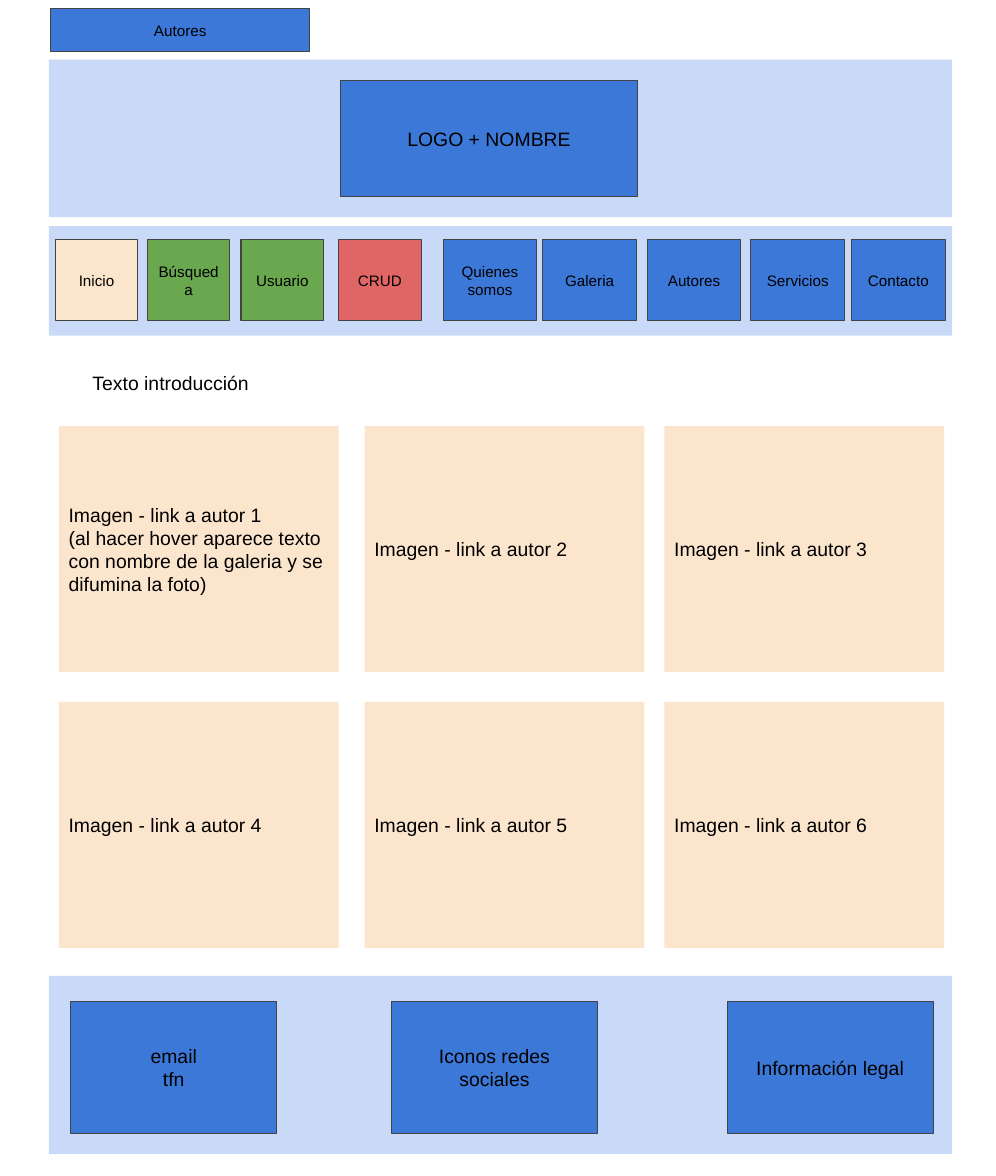
from dataclasses import dataclass

from pptx import Presentation
from pptx import util as u
from pptx.dml.color import RGBColor
from pptx.enum import shapes, text


@dataclass(frozen=True)
class Theme:
    font: str = "Arial"
    ink: str = "000000"
    outline: str = "434343"
    band: str = "C9DAF8"
    link: str = "3C78D8"
    cream: str = "FCE5CD"
    tool: str = "6AA84F"
    admin: str = "E06666"
    small: int = 11
    normal: int = 14
    border: float = 0.75


class Wireframe:
    """Places page elements on a grid of 100 columns by 118.1 rows."""

    COLUMNS, ROWS = 100, 118.1

    def __init__(self, deck, theme):
        self.theme = theme
        self.column = deck.slide_width / self.COLUMNS
        self.row = deck.slide_height / self.ROWS
        self.slide = deck.slides.add_slide(deck.slide_layouts[5])

    def area(self, left, top, width, height):
        return (round(left * self.column), round(top * self.row),
                round(width * self.column), round(height * self.row))

    def label(self, holder, words, size, align):
        frame = holder.text_frame
        frame.text = words
        frame.word_wrap = True
        frame.auto_size = text.MSO_AUTO_SIZE.NONE
        frame.vertical_anchor = text.MSO_ANCHOR.MIDDLE
        frame.margin_left = frame.margin_right = u.Inches(0.1)
        frame.margin_top = frame.margin_bottom = u.Inches(0.1)
        for paragraph in frame.paragraphs:
            paragraph.alignment = align
            paragraph.font.name = self.theme.font
            paragraph.font.size = u.Pt(size)
            paragraph.font.color.rgb = RGBColor.from_string(self.theme.ink)

    def paint(self, holder, fill, outlined):
        holder.fill.solid()
        holder.fill.fore_color.rgb = RGBColor.from_string(fill)
        if outlined:
            holder.line.color.rgb = RGBColor.from_string(self.theme.outline)
            holder.line.width = u.Pt(self.theme.border)
        else:
            holder.line.fill.background()

    def block(self, cell, fill, outlined=False):
        rectangle = self.slide.shapes.add_shape(
            shapes.MSO_SHAPE.RECTANGLE, *self.area(*cell))
        rectangle.shadow.inherit = False
        self.paint(rectangle, fill, outlined)
        return rectangle

    def title(self, cell, words):
        heading = self.slide.shapes.title
        heading.left, heading.top, heading.width, heading.height = self.area(*cell)
        self.paint(heading, self.theme.link, outlined=True)
        self.label(heading, words, self.theme.small, text.PP_ALIGN.CENTER)

    def band(self, top, height):
        self.block((4.9, top, 90.7, height), self.theme.band)

    def button(self, cell, words, fill, size):
        self.label(self.block(cell, fill, outlined=True), words, size,
                   text.PP_ALIGN.CENTER)

    def card(self, cell, words):
        self.label(self.block(cell, self.theme.cream), words,
                   self.theme.normal, text.PP_ALIGN.LEFT)

    def note(self, cell, words):
        box = self.slide.shapes.add_textbox(*self.area(*cell))
        self.label(box, words, self.theme.normal, text.PP_ALIGN.LEFT)


def main():
    deck = Presentation()
    deck.slide_width, deck.slide_height = u.Inches(10), u.Inches(11.81)
    theme = Theme()
    page = Wireframe(deck, theme)

    page.title((5.1, 0.9, 26, 4.3), "Autores")

    page.band(6, 15.8)
    page.button((34.2, 8.1, 29.8, 11.6), "LOGO + NOMBRE", theme.link, theme.normal)

    page.band(22.7, 11)
    menu = [
        (5.6, 8.2, "Inicio", theme.cream),
        (14.8, 8.3, "Búsqueda", theme.tool),
        (24.2, 8.3, "Usuario", theme.tool),
        (34, 8.3, "CRUD", theme.admin),
        (44.5, 9.4, "Quienes somos", theme.link),
        (54.5, 9.4, "Galeria", theme.link),
        (65, 9.4, "Autores", theme.link),
        (75.4, 9.4, "Servicios", theme.link),
        (85.5, 9.4, "Contacto", theme.link),
    ]
    for left, width, entry, fill in menu:
        page.button((left, 24.1, width, 8.1), entry, fill, theme.small)

    page.note((8.3, 34.9, 85.1, 7.1), "Texto introducción")

    hover = ("\n(al hacer hover aparece texto con nombre de la galeria "
             "y se difumina la foto)")
    gallery_columns, gallery_rows = (5.9, 36.6, 66.7), (42.8, 70.5)
    cells = [(left, top) for top in gallery_rows for left in gallery_columns]
    for author, (left, top) in enumerate(cells, start=1):
        detail = hover if author == 1 else ""
        page.card((left, top, 28.1, 24.7),
                  f"Imagen - link a autor {author}{detail}")

    page.band(98, 17.9)
    footer = [(7.1, "email\ntfn"), (39.3, "Iconos redes sociales"),
              (73, "Información legal")]
    for left, entry in footer:
        page.button((left, 100.6, 20.7, 13.2), entry, theme.link, theme.normal)

    deck.save("out.pptx")


if __name__ == "__main__":
    main()
